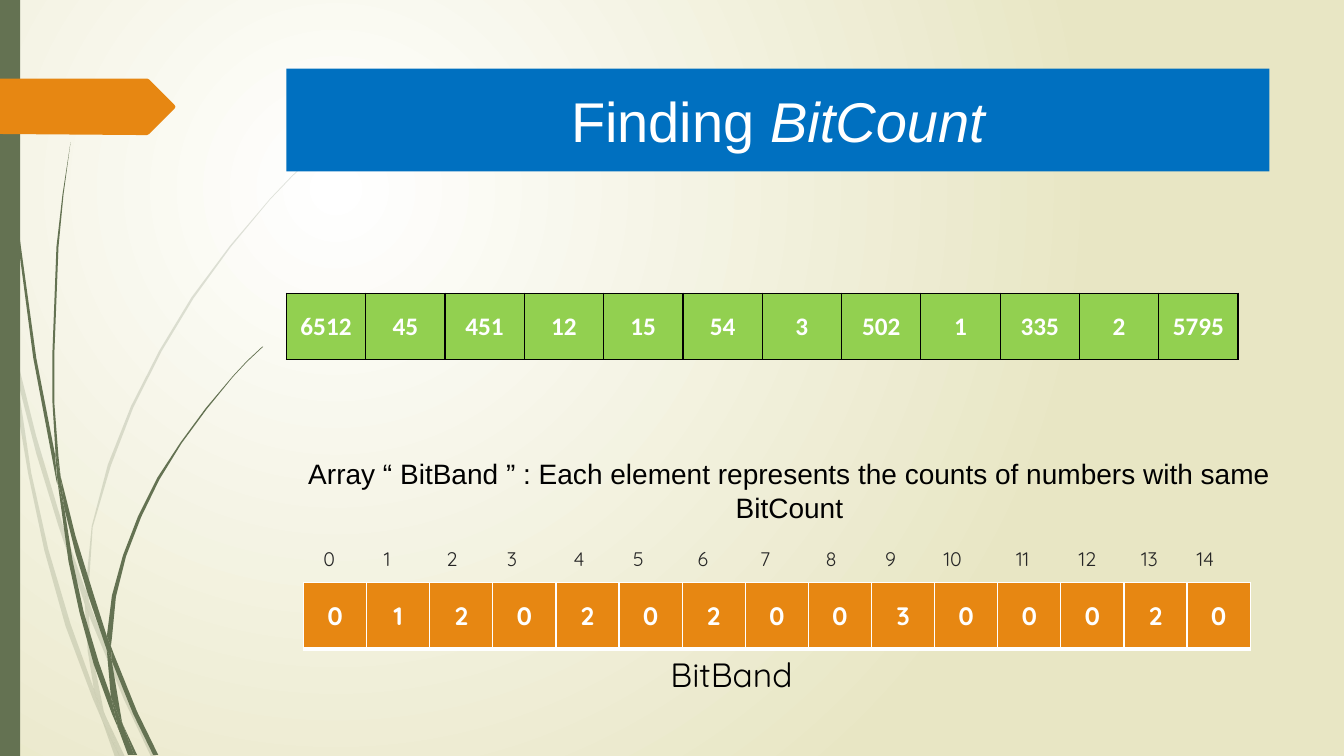
import dataclasses
import typing

import lxml.etree
import pptx
import pptx.dml.color
import pptx.enum.shapes
import pptx.enum.text
import pptx.oxml.ns
import pptx.util

Inches = pptx.util.Inches
Pt = pptx.util.Pt
RGBColor = pptx.dml.color.RGBColor
CENTER = pptx.enum.text.PP_ALIGN.CENTER
MIDDLE = pptx.enum.text.MSO_ANCHOR.MIDDLE
qn = pptx.oxml.ns.qn

# Colours
WHITE = RGBColor(0xFF, 0xFF, 0xFF)
BLACK = RGBColor(0x00, 0x00, 0x00)
GRAY = RGBColor(0x26, 0x26, 0x26)
SAND = RGBColor(0xE8, 0xE6, 0xC4)
MOSS = RGBColor(0x64, 0x72, 0x52)
AMBER = RGBColor(0xE7, 0x87, 0x12)
LIME = RGBColor(0x92, 0xD0, 0x50)
BLUE = RGBColor(0x00, 0x70, 0xC0)

# Text formats
HEAD = {"name": "Arial", "size": Pt(40)}
NOTE = {"name": "Arial", "size": Pt(20)}
INDEX = {"name": "Quicksand", "size": Pt(14)}
LABEL = {"name": "Quicksand", "size": Pt(24)}
VALUE = {"name": "Calibri", "size": Pt(18), "bold": True}
COUNT = {"name": "Quicksand", "size": Pt(18), "bold": True}


@dataclasses.dataclass
class Box:
    x: float
    y: float
    w: float
    h: float

    def size(self) -> tuple:
        return tuple(Inches(v) for v in (self.x, self.y, self.w, self.h))


@dataclasses.dataclass
class Strip:
    box: Box
    vals: tuple
    form: dict
    fill: RGBColor
    edge: RGBColor
    base: float  # width of the bottom border in points


@dataclasses.dataclass
class Plant:
    alpha: int  # opacity in percent
    blades: tuple


# Outlines as x, y pairs in hundredths of an inch
BACK = Plant(20, (
    (11, 350, 9, 322, 0, 282, 0, 299, 10, 344),
    (58, 522, 84, 599, 85, 586, 62, 520, 36, 433, 14, 345, 17, 376, 36, 450),
    (92, 607, 88, 596, 88, 610, 123, 694, 150, 751, 155, 751, 127, 692),
    (119, 751, 124, 751, 105, 711),
    (93, 683, 70, 619, 48, 545, 31, 469, 17, 376, 11, 350, 18, 411, 28, 470,
     44, 546, 65, 621, 92, 693, 101, 714, 99, 707),
    (84, 599, 87, 646, 93, 683, 96, 692, 105, 711, 103, 706, 91, 646, 88, 610, 88, 608),
    (88, 584, 92, 523, 110, 462, 132, 405, 160, 349, 192, 296, 229, 245, 268, 198, 290, 175,
     312, 154, 312, 153, 289, 175, 268, 197, 228, 244, 190, 295, 158, 348, 130, 403,
     107, 461, 91, 522, 85, 584, 85, 586, 88, 596),
    (101, 714, 114, 751, 119, 751),
    (88, 608, 88, 610, 88, 596, 85, 586, 84, 599),
    (96, 692, 93, 683, 99, 707, 101, 714, 119, 751, 105, 711),
))
FRONT = Plant(100, (
    (7, 110, 17, 233, 33, 355, 56, 477, 57, 481, 55, 457, 55, 453, 36, 355, 19, 232,
     8, 109, 5, 48, 4, 0, 3, 0, 4, 48),
    (88, 592, 106, 645, 106, 631, 93, 590, 75, 532, 60, 472, 64, 505, 75, 549),
    (113, 649, 110, 641, 111, 656, 132, 708, 152, 749, 157, 749, 136, 706),
    (110, 691, 98, 657, 83, 607, 72, 556, 64, 505, 57, 477, 68, 557, 79, 608, 93, 659,
     111, 708, 117, 722, 116, 717),
    (60, 472, 58, 453, 54, 401, 54, 349, 58, 245, 63, 193, 70, 141, 62, 193, 56, 245,
     52, 349, 52, 399, 55, 449),
    (133, 749, 136, 749, 122, 719),
    (57, 477, 64, 505, 60, 472, 55, 449, 55, 453),
    (111, 633, 115, 592, 125, 552, 140, 513, 158, 476, 180, 440, 205, 406, 231, 374, 245, 359,
     261, 344, 260, 344, 245, 358, 231, 373, 204, 405, 179, 439, 156, 474, 137, 512,
     122, 551, 111, 591, 106, 631, 110, 641),
    (117, 722, 127, 749, 131, 749),
    (106, 645, 110, 691, 116, 706, 122, 719, 121, 716, 111, 656, 109, 651),
    (106, 645, 109, 651, 111, 656, 110, 641, 106, 631),
    (116, 706, 110, 691, 116, 717, 117, 722, 130, 749, 133, 749, 122, 719),
))
BANNER = (173, 108, 148, 133, 146, 134, 136, 134, 0, 133, 0, 78, 146, 78, 148, 79, 173, 104, 174, 106)

STRIPS = (
    Strip(Box(2.84, 2.91, 9.44, 0.66), (6512, 45, 451, 12, 15, 54, 3, 502, 1, 335, 2, 5795),
          VALUE, LIME, BLACK, 1),
    Strip(Box(3.01, 5.78, 9.39, 0.66), (0, 1, 2, 0, 2, 0, 2, 0, 0, 3, 0, 0, 0, 2, 0),
          COUNT, AMBER, WHITE, 3),
)
TABS = (0.6, 1.22, 1.82, 2.48, 3.07, 3.71, 4.33, 4.98, 5.57, 6.15, 6.87, 7.49, 8.11, 8.66)


def paint(shape: typing.Any, color: RGBColor, alpha: int = 100) -> None:
    shape.fill.solid()
    shape.fill.fore_color.rgb = color
    shape.line.fill.background()
    shape.shadow.inherit = False
    if alpha < 100:
        tone = next(shape.element.iter(qn("a:srgbClr")))
        lxml.etree.SubElement(tone, qn("a:alpha"), val=str(alpha * 1000))


def trace(shapes: typing.Any, flat: tuple, color: RGBColor, alpha: int = 100) -> None:
    dots = list(zip(flat[::2], flat[1::2]))
    pen = shapes.build_freeform(*dots[0], scale=Inches(0.01))
    pen.add_line_segments(dots[1:], close=True)
    paint(pen.convert_to_shape(), color, alpha)


def write(para: typing.Any, text: str, form: dict, color: RGBColor) -> None:
    run = para.add_run()
    run.text = text
    for key, val in form.items():
        setattr(run.font, key, val)
    run.font.color.rgb = color


def label(shapes: typing.Any, box: Box, text: str, form: dict, color: RGBColor) -> typing.Any:
    frame = shapes.add_textbox(*box.size()).text_frame
    frame.word_wrap = True
    para = frame.paragraphs[0]
    para.alignment = CENTER
    write(para, text, form, color)
    return frame


def border(cell: typing.Any, color: RGBColor, base: float) -> None:
    props = cell._tc.get_or_add_tcPr()
    for side, width in {"L": 1, "R": 1, "T": 1, "B": base}.items():
        line = lxml.etree.SubElement(props, qn("a:ln" + side), w=str(Pt(width)))
        fill = lxml.etree.SubElement(line, qn("a:solidFill"))
        lxml.etree.SubElement(fill, qn("a:srgbClr"), val=str(color))


def draw(shapes: typing.Any, strip: Strip) -> None:
    table = shapes.add_table(1, len(strip.vals), *strip.box.size()).table
    table.first_row = table.horz_banding = False
    for col, val in zip(table.columns, strip.vals):
        col.width = Inches(strip.box.w / len(strip.vals))
    for cell, val in zip(table.iter_cells(), strip.vals):
        border(cell, strip.edge, strip.base)
        cell.fill.solid()
        cell.fill.fore_color.rgb = strip.fill
        cell.vertical_anchor = MIDDLE
        cell.margin_left = cell.margin_right = Inches(0.05)
        para = cell.text_frame.paragraphs[0]
        para.alignment = CENTER
        write(para, str(val), strip.form, WHITE)


def backdrop(slide: typing.Any) -> None:
    fill = slide.background.fill
    fill.gradient()
    for stop, place, color in zip(fill.gradient_stops, (0, 1), (WHITE, SAND)):
        stop.position = place
        stop.color.rgb = color
    grad = next(slide.element.iter(qn("a:gradFill")))
    grad.remove(grad.find(qn("a:lin")))
    ring = lxml.etree.SubElement(grad, qn("a:path"), path="circle")
    lxml.etree.SubElement(ring, qn("a:fillToRect"), l="50000", t="50000", r="100000", b="100000")


def main() -> None:
    deck = pptx.Presentation()
    deck.slide_width, deck.slide_height = Inches(13.33), Inches(7.5)
    slide = deck.slides.add_slide(deck.slide_layouts[6])
    shapes = slide.shapes
    rect = pptx.enum.shapes.MSO_SHAPE.RECTANGLE

    # Background, plants, side bar and banner
    backdrop(slide)
    for plant in (BACK, FRONT):
        group = shapes.add_group_shape()
        for blade in plant.blades:
            trace(group.shapes, blade, MOSS, plant.alpha)
    paint(shapes.add_shape(rect, *Box(0, 0, 0.2, 7.5).size()), MOSS)
    trace(shapes, BANNER, AMBER)

    # Index row above the lower strip
    marks = "\t".join(str(n) for n in range(len(TABS) + 1))
    frame = label(shapes, Box(3.11, 5.39, 9.75, 0.3), marks, INDEX, GRAY)
    frame.vertical_anchor = MIDDLE
    para = frame.paragraphs[0]
    para.alignment = pptx.enum.text.PP_ALIGN.LEFT
    stops = lxml.etree.SubElement(para._p.get_or_add_pPr(), qn("a:tabLst"))
    for tab in TABS:
        lxml.etree.SubElement(stops, qn("a:tab"), pos=str(Inches(tab)), algn="l")

    # Number strips
    for strip in STRIPS:
        draw(shapes, strip)
    label(shapes, Box(6.52, 6.44, 1.47, 0.5), "BitBand", LABEL, BLACK)

    # Title bar and note
    title = shapes.add_shape(rect, *Box(2.84, 0.68, 9.75, 1.02).size())
    paint(title, BLUE)
    title.text_frame.vertical_anchor = MIDDLE
    para = title.text_frame.paragraphs[0]
    para.alignment = CENTER
    write(para, "Finding ", HEAD, WHITE)
    write(para, "BitCount", {**HEAD, "italic": True}, WHITE)
    label(shapes, Box(2.93, 4.48, 9.8, 0.77), "Array “ BitBand ” : Each element represents "
          "the counts of numbers with same BitCount", NOTE, BLACK)

    deck.save("out.pptx")


if __name__ == "__main__":
    main()
